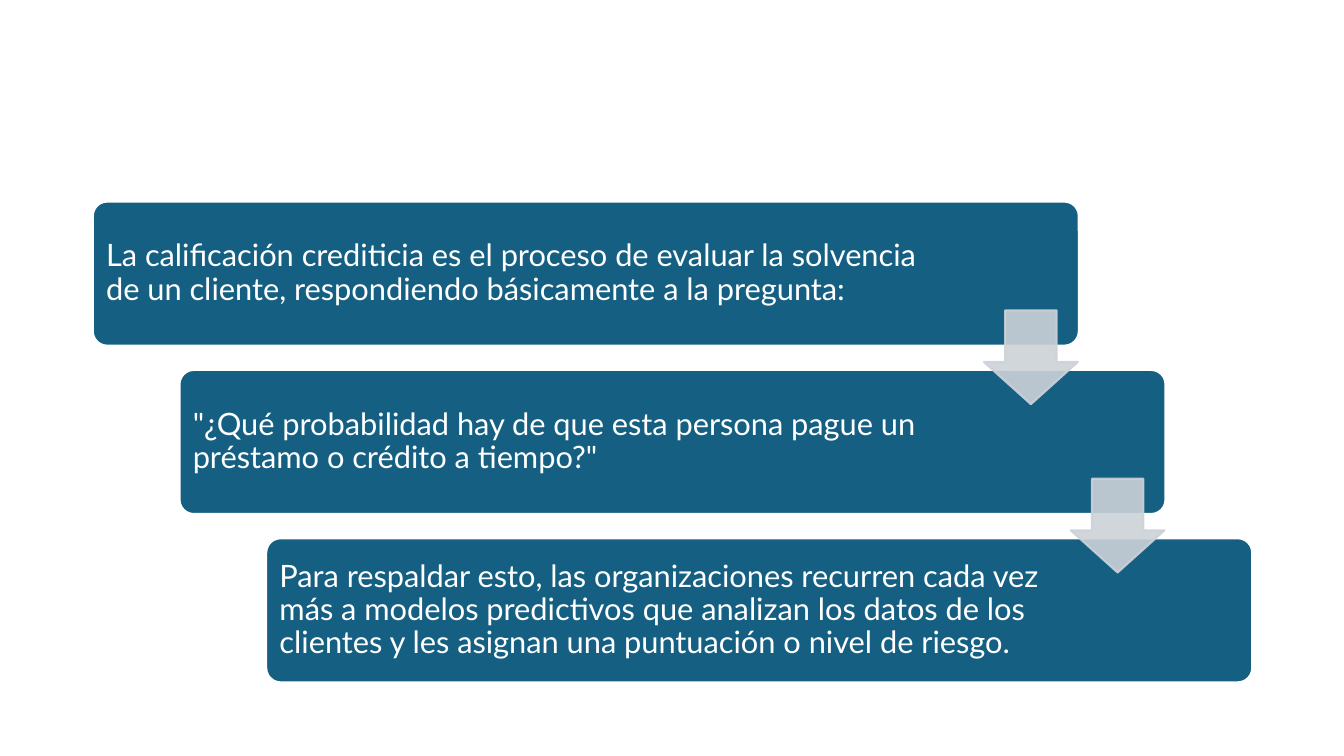
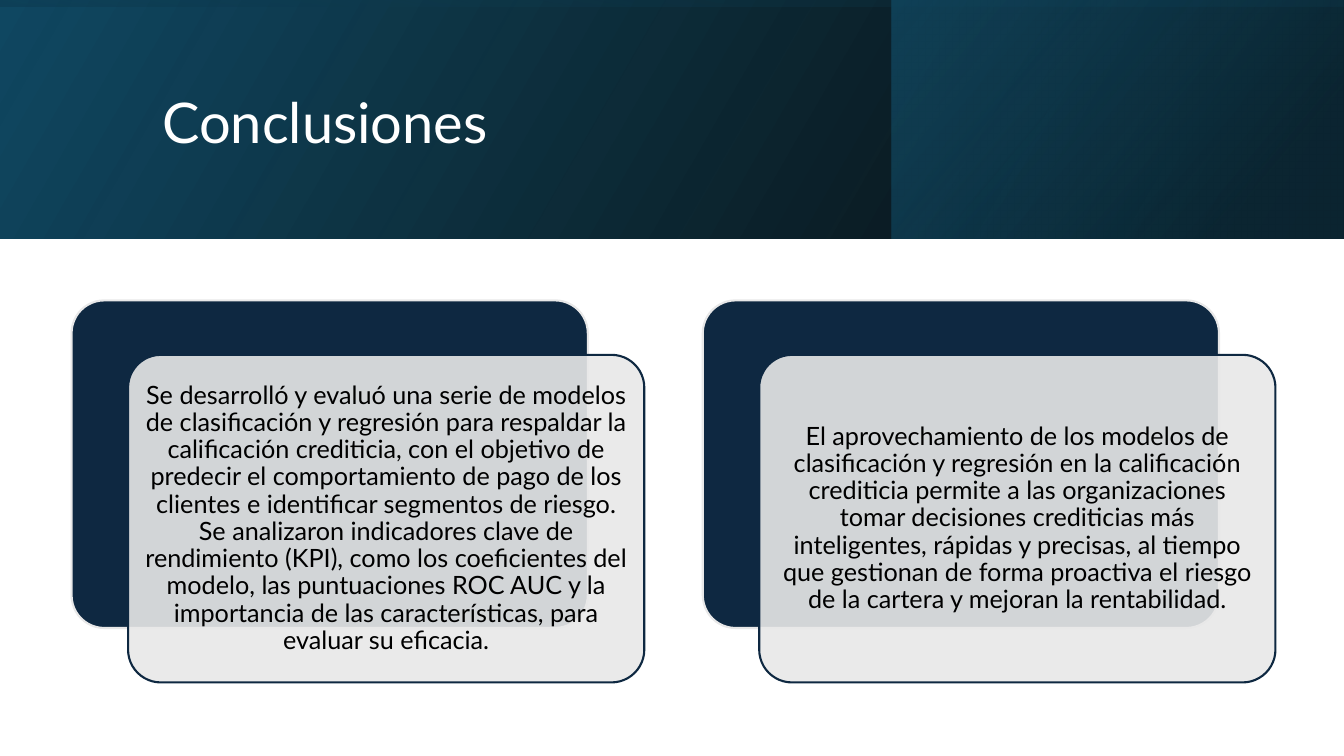
import dataclasses

import lxml.etree
import pptx
import pptx.dml.color
import pptx.enum.shapes
import pptx.enum.text
import pptx.oxml.ns
import pptx.util

Inches = pptx.util.Inches
Pt = pptx.util.Pt
SHAPES = pptx.enum.shapes.MSO_SHAPE
ALIGN = pptx.enum.text.PP_ALIGN


@dataclasses.dataclass(frozen=True)
class Theme:
    font: str = "Lato"
    title_size: int = 40
    step_size: int = 22
    card_size: int = 18
    outline: float = 1.5
    line_spacing: float = 0.9
    corner: float = 0.1
    overlay_alpha: int = 90
    white: str = "FFFFFF"
    black: str = "000000"
    teal: str = "156082"
    deep_teal: str = "104862"
    dark_teal: str = "0B3041"
    navy: str = "0E2841"
    arrow: str = "CCD2D8"
    card: str = "E8E8E8"


THEME = Theme()
SLIDE_WIDTH, SLIDE_HEIGHT = 13.33, 7.5
BAND_HEIGHT = 2.37

STEPS = [
    ("La calificación crediticia es el proceso de evaluar la solvencia de un cliente, "
     "respondiendo básicamente a la pregunta:", 1.56),
    ("\"¿Qué probabilidad hay de que esta persona pague un préstamo o crédito a tiempo?\"", 1.89),
    ("Para respaldar esto, las organizaciones recurren cada vez más a modelos predictivos "
     "que analizan los datos de los clientes y les asignan una puntuación o nivel de riesgo.", 1.89),
]
CONCLUSIONS = [
    "Se desarrolló y evaluó una serie de modelos de clasificación y regresión para respaldar "
    "la calificación crediticia, con el objetivo de predecir el comportamiento de pago de los "
    "clientes e identificar segmentos de riesgo. Se analizaron indicadores clave de rendimiento "
    "(KPI), como los coeficientes del modelo, las puntuaciones ROC AUC y la importancia de las "
    "características, para evaluar su eficacia.",
    "El aprovechamiento de los modelos de clasificación y regresión en la calificación "
    "crediticia permite a las organizaciones tomar decisiones crediticias más inteligentes, "
    "rápidas y precisas, al tiempo que gestionan de forma proactiva el riesgo de la cartera "
    "y mejoran la rentabilidad.",
]


def rgb(color):
    return pptx.dml.color.RGBColor.from_string(color)


def set_alphas(shape, percentages):
    """Set the opacity of the shape's colours, in document order."""
    colors = shape._element.spPr.iter(pptx.oxml.ns.qn("a:srgbClr"))
    for color, percentage in zip(colors, percentages):
        alpha = lxml.etree.SubElement(color, pptx.oxml.ns.qn("a:alpha"))
        alpha.set("val", str(percentage * 1000))


def add_plain_shape(slide, kind, box):
    shape = slide.shapes.add_shape(kind, *(Inches(length) for length in box))
    shape.shadow.inherit = False
    return shape


def add_outlined_shape(slide, kind, box, fill, line):
    shape = add_plain_shape(slide, kind, box)
    shape.fill.solid()
    shape.fill.fore_color.rgb = rgb(fill)
    shape.line.color.rgb = rgb(line)
    shape.line.width = Pt(THEME.outline)
    return shape


def add_rounded_box(slide, box, fill, line):
    shape = add_outlined_shape(slide, SHAPES.ROUNDED_RECTANGLE, box, fill, line)
    shape.adjustments[0] = THEME.corner
    return shape


def write_text(shape, text, size, color, alignment):
    frame = shape.text_frame
    frame.text = text
    frame.word_wrap = True
    frame.vertical_anchor = pptx.enum.text.MSO_ANCHOR.MIDDLE
    paragraph = frame.paragraphs[0]
    paragraph.alignment = alignment
    paragraph.line_spacing = THEME.line_spacing
    paragraph.font.name = THEME.font
    paragraph.font.size = Pt(size)
    paragraph.font.color.rgb = rgb(color)


def set_insets(shape, inset, right=None):
    frame = shape.text_frame
    frame.margin_left = frame.margin_top = frame.margin_bottom = Inches(inset)
    frame.margin_right = Inches(inset if right is None else right)


def add_step(slide, box, text, right_inset):
    shape = add_rounded_box(slide, box, THEME.teal, THEME.white)
    write_text(shape, text, THEME.step_size, THEME.white, ALIGN.LEFT)
    set_insets(shape, 0.09, right_inset)


def add_step_arrow(slide, box):
    arrow = add_outlined_shape(slide, SHAPES.DOWN_ARROW, box, THEME.arrow, THEME.arrow)
    arrow.adjustments[0] = 0.55
    arrow.adjustments[1] = 0.45
    set_alphas(arrow, [THEME.overlay_alpha] * 2)


def add_gradient_band(slide, box, angle, stops, rotation=0):
    """Add a mirrored rectangle; stops are (position, colour, opacity) and angle is clockwise."""
    band = add_plain_shape(slide, SHAPES.RECTANGLE, box)
    band.rotation = rotation
    band._element.spPr.xfrm.set("flipH", "1")
    band.line.fill.background()
    band.fill.gradient()
    band.fill.gradient_angle = 360 - angle
    for stop, (position, color, _) in zip(band.fill.gradient_stops, stops):
        stop.position = position
        stop.color.rgb = rgb(color)
    set_alphas(band, [opacity for _, _, opacity in stops])


def add_title(slide, text):
    title = slide.shapes.title
    title.left, title.top = Inches(1.51), Inches(0.38)
    title.width, title.height = Inches(10.63), Inches(1.72)
    write_text(title, text, THEME.title_size, THEME.white, ALIGN.LEFT)
    slide.shapes._spTree.append(title._element)  # in front of the bands


def add_conclusion(slide, left, text):
    top, width, height = 2.98, 5.12, 3.25
    add_rounded_box(slide, (left, top, width, height), THEME.navy, THEME.card)
    card = add_rounded_box(slide, (left + 0.56, top + 0.54, width, height), THEME.card, THEME.navy)
    set_alphas(card, [THEME.overlay_alpha])
    write_text(card, text, THEME.card_size, THEME.black, ALIGN.CENTER)
    set_insets(card, 0.07)


def build_steps_slide(presentation):
    slide = presentation.slides.add_slide(presentation.slide_layouts[6])
    left, top, step_x, step_y = 0.92, 2, 0.86, 1.67
    for index, (text, right_inset) in enumerate(STEPS):
        box = (left + index * step_x, top + index * step_y, 9.78, 1.43)
        add_step(slide, box, text, right_inset)
    for index in range(len(STEPS) - 1):
        add_step_arrow(slide, (9.76 + index * step_x, 3.08 + index * step_y, 0.93, 0.93))


def build_conclusions_slide(presentation):
    slide = presentation.slides.add_slide(presentation.slide_layouts[5])
    add_gradient_band(slide, (0, 0, SLIDE_WIDTH, BAND_HEIGHT), 330,
                      [(0, THEME.black, 96), (1, THEME.deep_teal, 100)])
    add_gradient_band(slide, (8.84, 0, 4.48, BAND_HEIGHT), 320,
                      [(0.19, THEME.dark_teal, 68), (1, THEME.teal, 48)])
    offset = (SLIDE_WIDTH - BAND_HEIGHT) / 2
    add_gradient_band(slide, (offset, -offset, BAND_HEIGHT, SLIDE_WIDTH), 350,
                      [(0.23, THEME.deep_teal, 16), (0.99, THEME.black, 45)], rotation=270)
    add_title(slide, "Conclusiones")
    for index, text in enumerate(CONCLUSIONS):
        add_conclusion(slide, 0.71 + index * 6.26, text)


def main():
    presentation = pptx.Presentation()
    presentation.slide_width = Inches(SLIDE_WIDTH)
    presentation.slide_height = Inches(SLIDE_HEIGHT)
    build_steps_slide(presentation)
    build_conclusions_slide(presentation)
    presentation.save("out.pptx")


if __name__ == "__main__":
    main()
